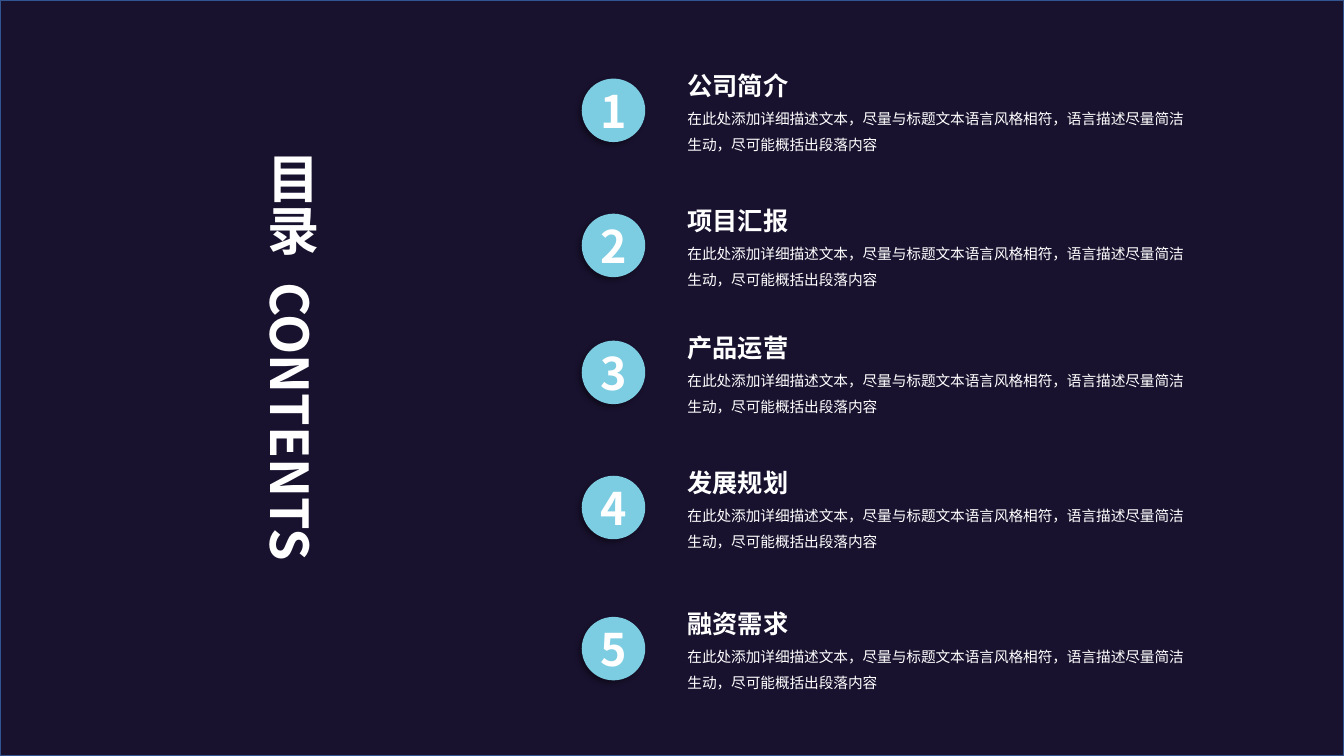
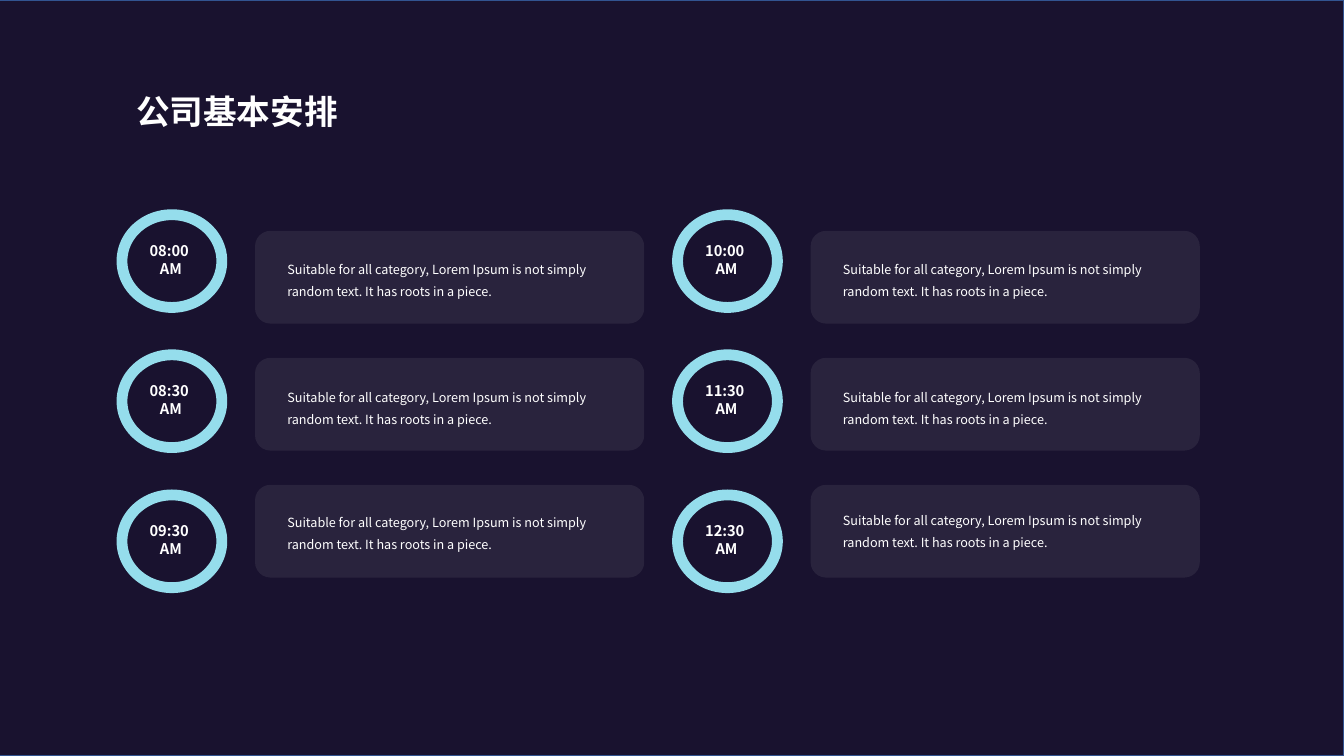
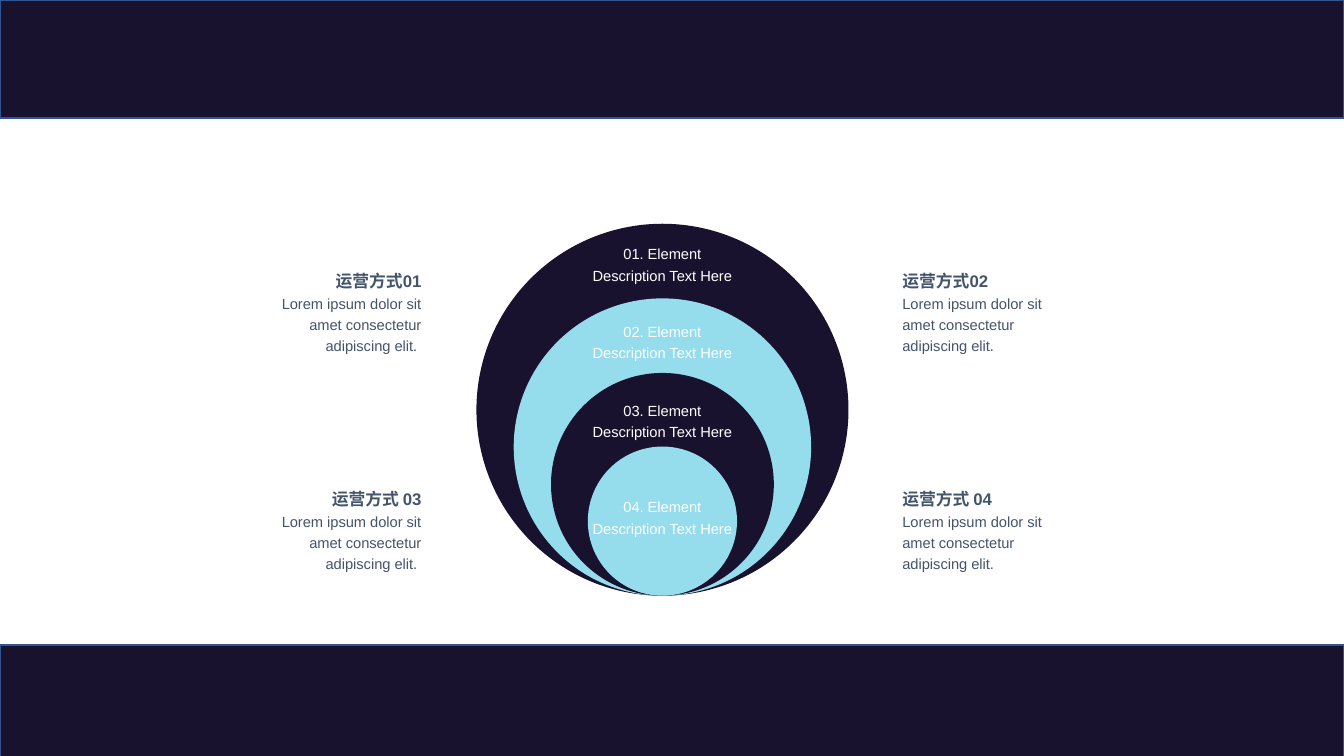
from lxml import etree
from pptx import Presentation
from pptx import util as u
from pptx.dml.color import RGBColor
from pptx.enum import shapes, text
from pptx.oxml.ns import qn

NAVY, FRAME, WHITE, SLATE = "19122F", "325491", "FFFFFF", "44546A"
SKY, AQUA, GREY = "7CCCE2", "95DDEC", "BFBFBF"
CJK = "Noto Sans CJK SC"
LEFT, CENTER, RIGHT = text.PP_ALIGN.LEFT, text.PP_ALIGN.CENTER, text.PP_ALIGN.RIGHT
TOP, MIDDLE = text.MSO_ANCHOR.TOP, text.MSO_ANCHOR.MIDDLE
OVAL, RECT = shapes.MSO_SHAPE.OVAL, shapes.MSO_SHAPE.RECTANGLE
ROUNDED = shapes.MSO_SHAPE.ROUNDED_RECTANGLE
TITLE_ONLY, BLANK = 5, 6


def rgb(color):
    return RGBColor.from_string(color)


class Deck:
    """Holds the shared style and the slide being built."""

    def __init__(self):
        self.presentation = Presentation()
        self.presentation.slide_width = u.Inches(13.33)
        self.presentation.slide_height = u.Inches(7.5)
        self.slide = None

    def new_slide(self, layout):
        layouts = self.presentation.slide_layouts
        self.slide = self.presentation.slides.add_slide(layouts[layout])

    def shape(self, kind, box, fill=None, line=None, line_width=1, alpha=None):
        shape = self.slide.shapes.add_shape(kind, *map(u.Inches, box))
        shape.shadow.inherit = False
        if fill:
            shape.fill.solid()
            shape.fill.fore_color.rgb = rgb(fill)
        else:
            shape.fill.background()
        if alpha:
            color = shape.element.spPr.find(".//" + qn("a:srgbClr"))
            etree.SubElement(color, qn("a:alpha"), val=str(alpha * 1000))
        if line:
            shape.line.color.rgb = rgb(line)
            shape.line.width = u.Pt(line_width)
        else:
            shape.line.fill.background()
        return shape

    def band(self, box):
        element = self.shape(RECT, box, NAVY, FRAME).element
        element.getparent().insert(2, element)

    def set_text(self, shape, lines, font=CJK, color=WHITE, align=LEFT, spacing=None,
                 anchor=TOP, inset=None, wrap=True, grow=False):
        frame = shape.text_frame
        frame.text = "\n".join(line for line, _, _ in lines)
        frame.word_wrap = wrap
        frame.vertical_anchor = anchor
        sizes = text.MSO_AUTO_SIZE
        frame.auto_size = sizes.SHAPE_TO_FIT_TEXT if grow else sizes.NONE
        if inset:
            frame.margin_left = frame.margin_right = u.Inches(inset[0])
            frame.margin_top = frame.margin_bottom = u.Inches(inset[1])
        for paragraph, (_, size, bold) in zip(frame.paragraphs, lines):
            paragraph.alignment = align
            if spacing:
                paragraph.line_spacing = spacing
            paragraph.font.size = u.Pt(size)
            paragraph.font.bold = bold
            paragraph.font.color.rgb = rgb(color)
            paragraph.font.name = font
            latin = paragraph._p.pPr.find(".//" + qn("a:latin"))
            latin.addnext(latin.makeelement(qn("a:ea"), typeface=CJK))

    def text_box(self, box, lines, **style):
        shape = self.slide.shapes.add_textbox(*map(u.Inches, box))
        self.set_text(shape, lines, grow=True, **style)
        return shape

    def title(self, box, words, size, vertical=False):
        title = self.slide.shapes.title
        title.left, title.top, title.width, title.height = map(u.Inches, box)
        self.set_text(title, [(words, size, True)], wrap=not vertical,
                      anchor=TOP if vertical else MIDDLE)
        if vertical:
            title.text_frame._txBody.bodyPr.set("vert", "eaVert")

    def number(self, left, top, digit):
        circle = self.shape(OVAL, (left, top, 0.63, 0.63), SKY)
        effects = circle.element.spPr.find(qn("a:effectLst"))
        shadow = etree.SubElement(
            effects, qn("a:outerShdw"), blurRad=str(u.Pt(4)), dist=str(u.Pt(3)),
            dir=str(135 * 60000), algn="tr", rotWithShape="0")
        color = etree.SubElement(shadow, qn("a:srgbClr"), val="000000")
        etree.SubElement(color, qn("a:alpha"), val="40000")
        self.set_text(circle, [(str(digit), 32, True)], align=CENTER, anchor=MIDDLE)


def contents(deck):
    deck.new_slide(TITLE_ONLY)
    deck.band((0, 0, 13.33, 7.5))
    deck.title((2.47, 1.46, 0.83, 1.15), "目录", 37.3, vertical=True)
    label = deck.text_box((1.32, 3.9, 3.13, 0.73), [("CONTENTS", 37.3, True)],
                          wrap=False)
    label.rotation = 90
    description = "在此处添加详细描述文本，尽量与标题文本语言风格相符，语言描述尽量简洁生动，尽可能概括出段落内容"
    chapters = [("公司简介", 0.78), ("项目汇报", 2.12), ("产品运营", 3.38),
                ("发展规划", 4.72), ("融资需求", 6.12)]
    for digit, (heading, top) in enumerate(chapters, 1):
        deck.number(5.77, top, digit)
        deck.text_box((6.72, top - 0.28, 5.19, 1.09),
                      [(heading, 18, True), (description, 10.5, False)], spacing=1.5)


def schedule(deck):
    deck.new_slide(TITLE_ONLY)
    deck.band((-0.26, 0, 13.59, 7.5))
    deck.title((1.25, 0.82, 3.65, 0.57), "公司基本安排", 24)
    description = ("Suitable for all category, Lorem Ipsum is not simply random text. "
                   "It has roots in a piece.")
    columns = [[("08:00 ", 2.52), ("08:30 ", 3.79), ("09:30 ", 5.03)],
               [("10:00 ", 2.52), ("11:30 ", 3.79), ("12:30 ", 5.01)]]
    for column, entries in enumerate(columns):
        left = 1.21 + 5.51 * column
        for row, (time, description_top) in enumerate(entries):
            ring_top = 2.13 + 1.39 * row
            deck.shape(ROUNDED, (left + 1.32, 2.29 + 1.26 * row, 3.86, 0.92),
                       GREY, alpha=10)
            deck.text_box((left + 1.64, description_top, 3.21, 0.43),
                          [(description, 9, False)], spacing=1.5, inset=(0, 0))
            deck.shape(OVAL, (left, ring_top, 0.99, 0.92), line=AQUA, line_width=7.75)
            deck.text_box((left + 0.22, ring_top + 0.27, 0.53, 0.35),
                          [(time, 10.5, True), ("AM", 10.5, True)],
                          align=CENTER, inset=(0, 0))


def operations(deck):
    deck.new_slide(BLANK)
    for top in (6.4, 0):
        deck.band((0, top, 13.33, 1.17))
    style = {"font": "Arial", "spacing": 1.2, "inset": (0.04, 0.05)}
    center, bottom = 6.57, 5.91
    for size, fill in [(3.69, NAVY), (2.95, AQUA), (2.21, NAVY), (1.48, AQUA)]:
        deck.shape(OVAL, (center - size / 2, bottom - size, size, size), fill)
    for index, top in enumerate((2.35, 3.12, 3.9, 4.86), 1):
        deck.text_box((5.76, top, 1.62, 0.5),
                      [(f"{index:02}. Element", 10.5, False),
                       ("Description Text Here", 10.5, False)],
                      align=CENTER, wrap=False, **style)
    description = "Lorem ipsum dolor sit amet consectetur adipiscing elit."
    sides = [(2.43, RIGHT, description + " ", ("运营方式01", "运营方式 03")),
             (8.91, LEFT, description, ("运营方式02", "运营方式 04"))]
    for left, align, body, headings in sides:
        for top, heading in zip((2.6, 4.76), headings):
            deck.text_box((left, top, 1.79, 0.98),
                          [(heading, 12, True), (body, 10.5, False)],
                          color=SLATE, align=align, **style)


def main():
    deck = Deck()
    contents(deck)
    schedule(deck)
    operations(deck)
    deck.presentation.save("out.pptx")


if __name__ == "__main__":
    main()
